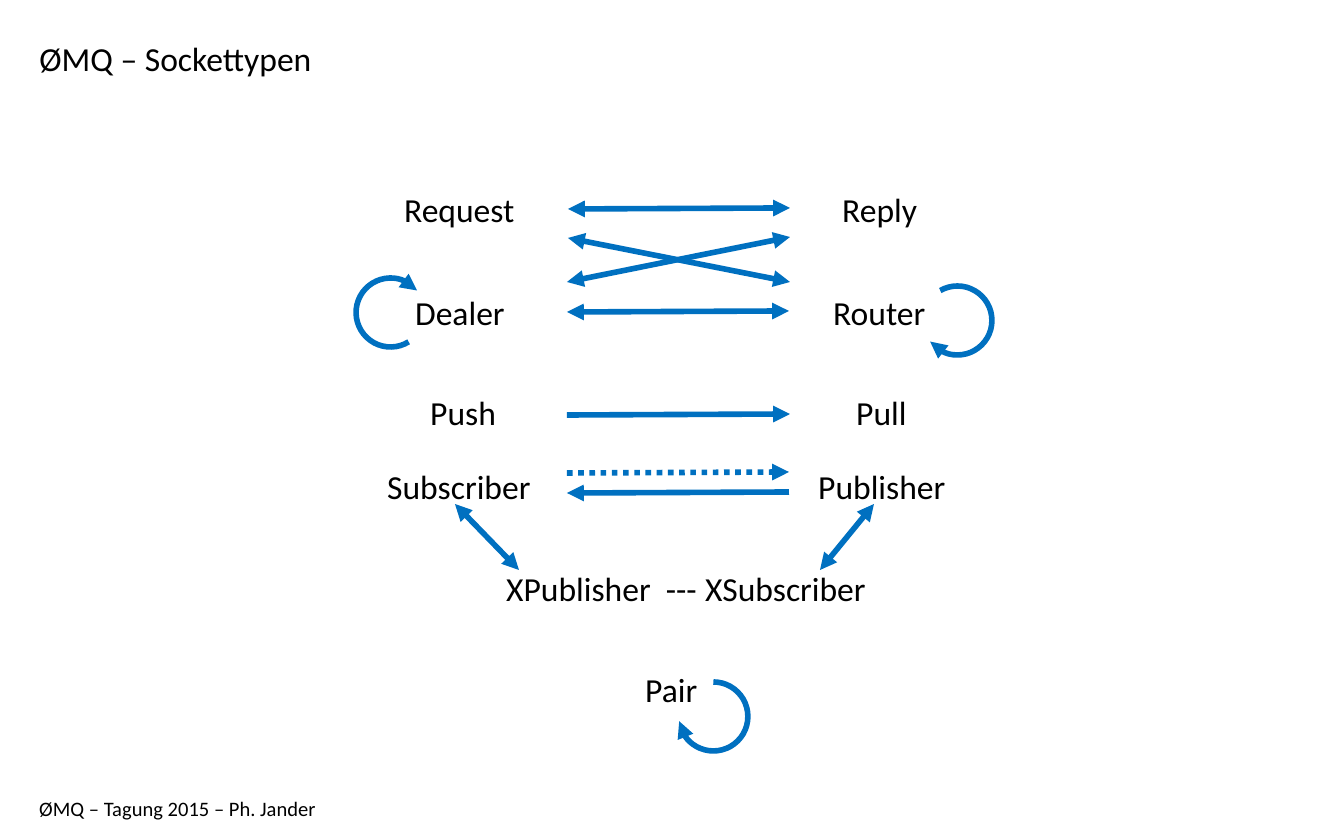
from dataclasses import dataclass

from lxml.etree import SubElement
from pptx import Presentation
from pptx.dml.color import RGBColor
from pptx.enum.dml import MSO_LINE
from pptx.enum.shapes import MSO_CONNECTOR, MSO_SHAPE
from pptx.enum.text import MSO_ANCHOR, MSO_AUTO_SIZE, PP_ALIGN
from pptx.oxml.ns import qn
from pptx.util import Emu, Pt

SCALE = 914400 / 134.4
BLUE = RGBColor(0x00, 0x70, 0xC0)
BLACK = RGBColor(0x00, 0x00, 0x00)
FONT = "Calibri"
LABEL_H = 54
LOOP_SIZE = 69


@dataclass
class Label:
    text: str
    left: int
    top: int
    width: int


@dataclass
class Arrow:
    x1: int
    y1: int
    x2: int
    y2: int
    head: bool = True
    tail: bool = True
    dotted: bool = False


@dataclass
class Loop:
    left: int
    top: int
    turn: float = 0


LABELS = [
    Label("Request", 391, 182, 138),
    Label("Reply", 829, 182, 103),
    Label("Dealer", 402, 285, 118),
    Label("Router", 820, 285, 121),
    Label("Push", 417, 385, 94),
    Label("Pull", 843, 385, 78),
    Label("Subscriber", 374, 459, 172),
    Label("Publisher", 805, 459, 156),
    Label("XPublisher  ---", 493, 561, 220),
    Label("XSubscriber", 692, 561, 190),
    Label("Pair", 632, 662, 79),
]

ARROWS = [
    Arrow(568, 209, 790, 208),
    Arrow(567, 312, 789, 311),
    Arrow(567, 282, 790, 237),
    Arrow(568, 238, 790, 282),
    Arrow(455, 504, 519, 570),
    Arrow(874, 504, 820, 570),
    Arrow(567, 473, 789, 472, head=False, dotted=True),
    Arrow(567, 493, 789, 492, tail=False),
    Arrow(567, 415, 790, 414, head=False),
]

LOOPS = [Loop(923, 286, 330.2), Loop(356, 278, 148.3), Loop(679, 682)]


def px(size: float) -> Emu:
    return Emu(round(size * SCALE))


def write(shape, text: str, size: int, wrap: bool = False) -> None:
    frame = shape.text_frame
    frame.text = text
    frame.word_wrap = wrap
    frame.auto_size = MSO_AUTO_SIZE.NONE
    frame.vertical_anchor = MSO_ANCHOR.TOP
    line = frame.paragraphs[0]
    line.alignment = PP_ALIGN.LEFT
    line.font.name = FONT
    line.font.size = Pt(size)
    line.font.color.rgb = BLACK


def add_label(slide, label: Label) -> None:
    box = slide.shapes.add_textbox(
        px(label.left), px(label.top), px(label.width), px(LABEL_H))
    write(box, label.text, 18)


def stroke(shape, head: bool, tail: bool, dotted: bool = False) -> None:
    shape.line.color.rgb = BLUE
    shape.line.width = Pt(3)
    if dotted:
        shape.line.dash_style = MSO_LINE.ROUND_DOT
    pen = shape.element.find(qn("p:spPr")).find(qn("a:ln"))
    for tag, shown in (("a:headEnd", head), ("a:tailEnd", tail)):
        if shown:
            SubElement(pen, qn(tag), type="triangle")


def add_arrow(slide, arrow: Arrow) -> None:
    line = slide.shapes.add_connector(
        MSO_CONNECTOR.STRAIGHT,
        px(arrow.x1), px(arrow.y1), px(arrow.x2), px(arrow.y2))
    stroke(line, arrow.head, arrow.tail, arrow.dotted)
    SubElement(line.element.find(qn("p:spPr")), qn("a:effectLst"))


def add_loop(slide, loop: Loop) -> None:
    arc = slide.shapes.add_shape(
        MSO_SHAPE.ARC, px(loop.left), px(loop.top), px(LOOP_SIZE), px(LOOP_SIZE))
    arc.adjustments[0] = 162
    arc.adjustments[1] = 103.25
    arc.rotation = loop.turn
    arc.fill.background()
    arc.shadow.inherit = False
    stroke(arc, False, True)


def build() -> None:
    deck = Presentation()
    deck.slide_width, deck.slide_height = px(1344), px(840)
    slide = deck.slides.add_slide(deck.slide_layouts[5])
    title = slide.shapes.title
    title.left, title.top = px(26), px(31)
    title.width, title.height = px(304), px(LABEL_H)
    write(title, "ØMQ – Sockettypen", 18)
    footer = slide.shapes.add_textbox(px(26), px(789), px(366), px(39))
    write(footer, "ØMQ – Tagung 2015 – Ph. Jander", 11, wrap=True)
    for label in LABELS:
        add_label(slide, label)
    for arrow in ARROWS:
        add_arrow(slide, arrow)
    for loop in LOOPS:
        add_loop(slide, loop)
    deck.save("out.pptx")


build()
